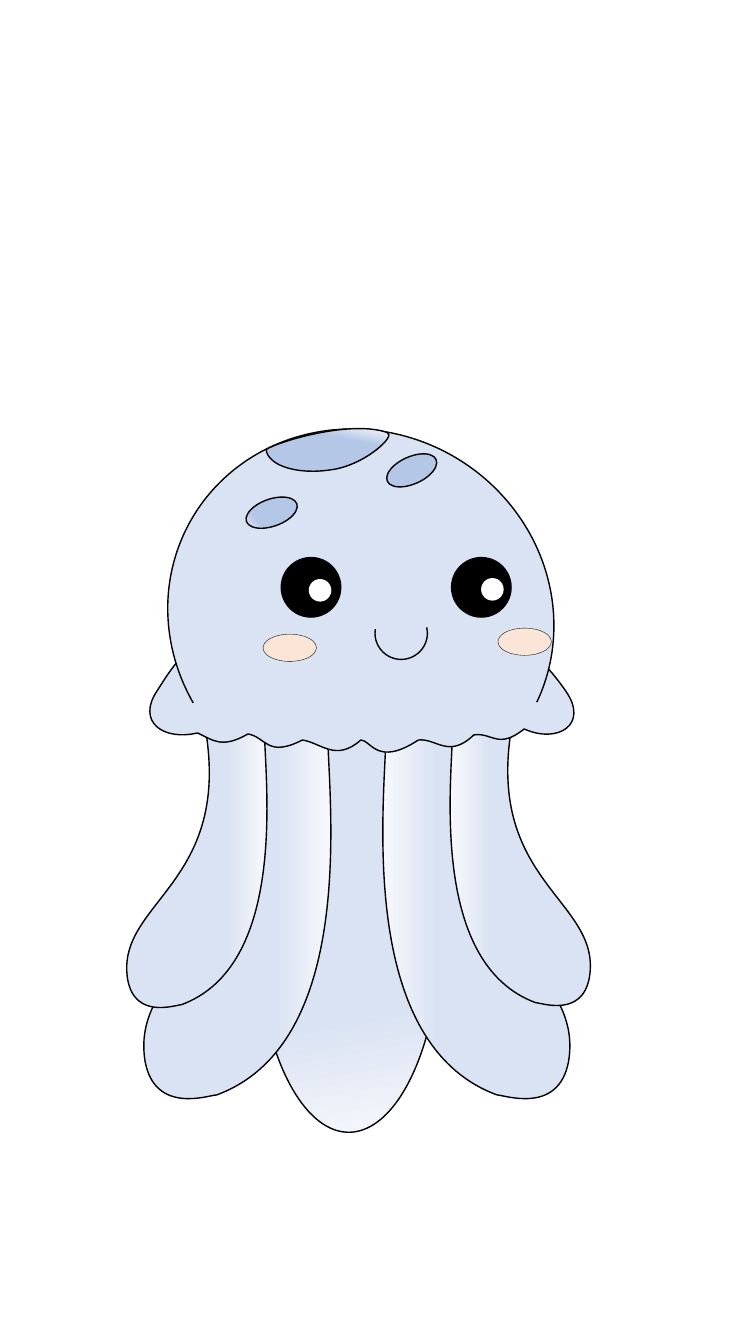
from lxml import etree
from pptx import Presentation
from pptx import util as u
from pptx.dml.color import RGBColor
from pptx.enum import shapes as s
from pptx.oxml.ns import qn

OVAL = s.MSO_SHAPE.OVAL
PALE, BODY, SPOT, BLUSH = "F6F8FC", "DAE3F3", "B4C7E7", "FBE5D6"
BLACK, WHITE = "000000", "FFFFFF"

LIMB = [(1.05, .13), (1.05, .06), (1.11, 0), (1.18, 0),
        (1.35, 0), (1.52, 0), (1.69, 0),
        (1.76, 0), (1.82, .06), (1.82, .13),
        (1.84, .86), (2.1, 3.19), (.72, 3.7),
        (.65, 3.7), (.11, 3.9), (.01, 3.37),
        (-.16, 2.36), (1.35, 2.13), (1.05, .13)]
SKIRT = [(2.11, 1.77), (3.54, 1.79), (3.97, 2.31), (4.21, 2.65),
         (4.45, 2.99), (4.13, 3.18), (3.8, 3.03),
         (3.54, 3.24), (3.48, 3.06), (3.3, 3.09),
         (3.05, 3.33), (2.93, 3.12), (2.75, 3.14),
         (2.34, 3.41), (2.28, 3.14), (2.18, 3.14),
         (1.93, 3.36), (1.79, 3.17), (1.6, 3.14),
         (1.25, 3.32), (1.24, 3.11), (1.06, 3.08),
         (.8, 3.23), (.71, 3.14), (.56, 3.07),
         (.22, 3.15), (-.05, 2.96), (.16, 2.65),
         (.36, 2.34), (.68, 1.74), (2.11, 1.77)]
CROWN = [(1.24, .26), (1.33, .19), (2.07, -.04), (2.44, .09),
         (2.54, .12), (2.21, .42), (1.88, .46),
         (1.55, .51), (1.26, .42), (1.24, .26)]


def inch(val):
    return u.Cm(val * 2.54)


def color(code):
    return RGBColor.from_string(code)


def paint(shape, fill=None, line=BLACK, width=1, angle=None):
    shape.shadow.inherit = False
    if fill is None:
        shape.fill.background()
    elif angle is None:
        shape.fill.solid()
        shape.fill.fore_color.rgb = color(fill)
    else:
        shape.fill.gradient()
        shape.fill.gradient_angle = (360 - angle) % 360
        for stop, code, place in zip(shape.fill.gradient_stops, (PALE, fill), (0, .29)):
            stop.color.rgb = color(code)
            stop.position = place
    if line is None:
        shape.line.fill.background()
    else:
        shape.line.color.rgb = color(line)
        shape.line.width = u.Pt(width)


def add(group, kind, box, spin=0, arc=(), **style):
    shape = group.shapes.add_shape(kind, *map(inch, box))
    shape.rotation = spin
    for i, value in enumerate(arc):
        shape.adjustments[i] = value
    paint(shape, **style)


def bend(a, b, c, d, t):
    return tuple((1 - t) ** 3 * p + 3 * t * (1 - t) ** 2 * q
                 + 3 * t * t * (1 - t) * r + t ** 3 * e
                 for p, q, r, e in zip(a, b, c, d))


def curve(group, points, **style):
    points = [(inch(x), inch(y)) for x, y in points]
    trace = [bend(*points[i:i + 4], step / 20)
             for i in range(0, len(points) - 1, 3) for step in range(1, 21)]
    pen = group.shapes.build_freeform(*points[0])
    pen.add_line_segments(trace, close=True)
    shape = pen.convert_to_shape()
    route = next(shape.element.iter(qn("a:path")))
    for part in route.findall(qn("a:lnTo")):
        route.remove(part)
    close = route.find(qn("a:close"))
    for i in range(1, len(points), 3):
        part = etree.Element(qn("a:cubicBezTo"))
        for x, y in points[i:i + 3]:
            etree.SubElement(part, qn("a:pt"), x=str(x - shape.left), y=str(y - shape.top))
        close.addprevious(part)
    paint(shape, **style)


def limb(group, left, top, size, flip=False):
    points = [(left + size * (1.86 - x if flip else x), top + size * y) for x, y in LIMB]
    curve(group, points, fill=BODY, angle=0 if flip else 180)


def limbs(group, left, top):
    add(group, OVAL, (left + 1.28, top, 1.84, 4.18), fill=BODY, angle=260)
    for x, y, size, flip in [(.17, .11, 1, False), (0, .14, .75, False),
                             (2.53, .11, 1, True), (3.2, .12, .75, True)]:
        limb(group, left + x, top + y, size, flip)


def head(group, left, top):
    def place(points):
        return [(left + x, top + y) for x, y in points]

    curve(group, place(SKIRT), fill=BODY)
    add(group, s.MSO_SHAPE.RECTANGLE, (left + .53, top + 1.69, 3.4, 1.08),
        fill=BODY, line=None)
    add(group, s.MSO_SHAPE.ARC, (left + .34, top - .02, 3.68, 3.88),
        spin=299.9, arc=(127.8, 51.54), fill=BODY)
    curve(group, place(CROWN), fill=SPOT, angle=102)
    for x, y, spin, angle in [(1.03, .75, 340.6, 340), (2.42, .33, 335.9, 260)]:
        add(group, OVAL, (left + x, top + y, .53, .27), spin=spin, fill=SPOT, angle=angle)


def face(group, left, top):
    add(group, s.MSO_SHAPE.ARC, (left + 1.12, top + .52, .52, .52),
        spin=149, arc=(119, 24.02))
    for eye, glint, drop in [(.19, .47, .25), (1.88, 2.18, .24)]:
        add(group, OVAL, (left + eye, top + .03, .59, .59), fill=BLACK)
        add(group, OVAL, (left + glint, top + drop, .21, .21), fill=WHITE, line=WHITE)
    for x, y in [(.01, .79), (2.34, .73)]:
        add(group, OVAL, (left + x, top + y, .53, .27), fill=BLUSH, width=.25)


def main():
    deck = Presentation()
    deck.slide_width, deck.slide_height = inch(7.5), inch(13.33)
    slide = deck.slides.add_slide(deck.slide_layouts[6])
    add(slide, s.MSO_SHAPE.RECTANGLE, (0, 4.33, 7.5, 9), fill=WHITE, line=WHITE)
    jelly = slide.shapes.add_group_shape()
    limbs(jelly, 1.26, 7.05)
    head(jelly, 1.4, 4.2)
    face(jelly, 2.6, 5.5)
    deck.save("out.pptx")


if __name__ == "__main__":
    main()
